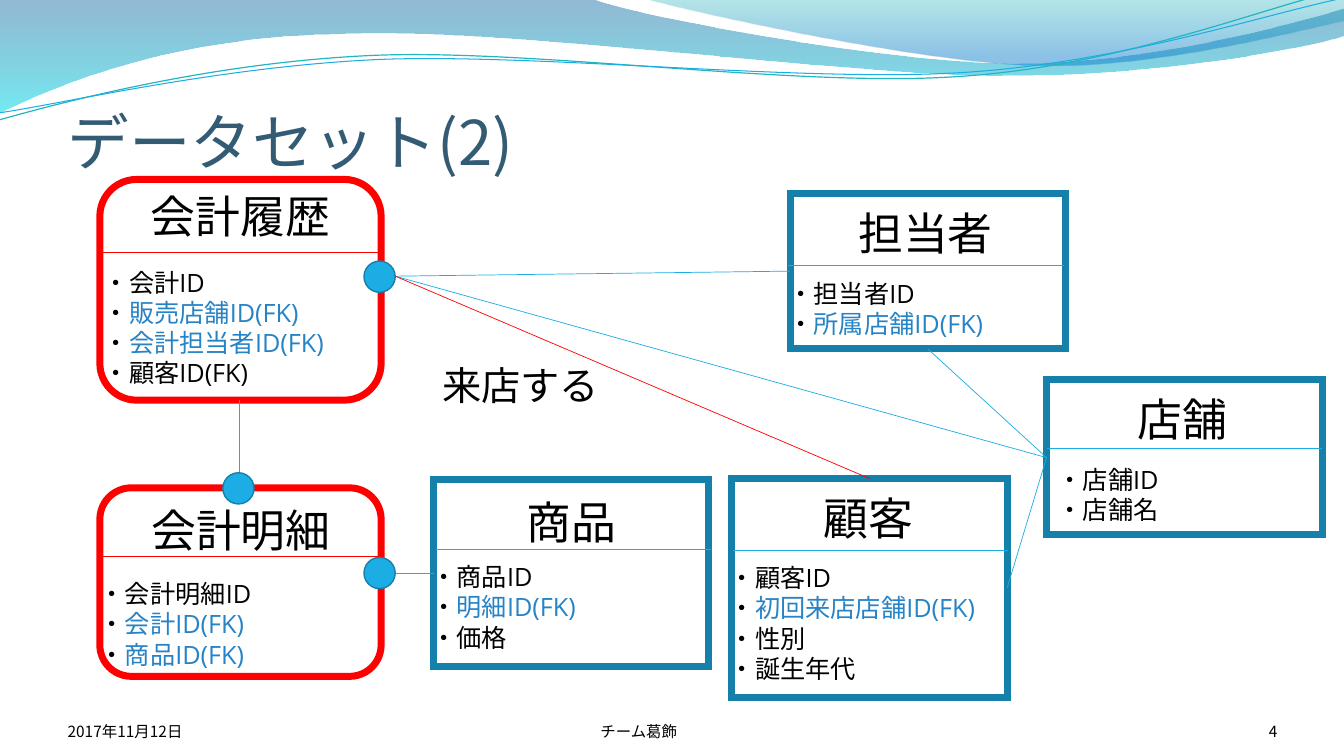
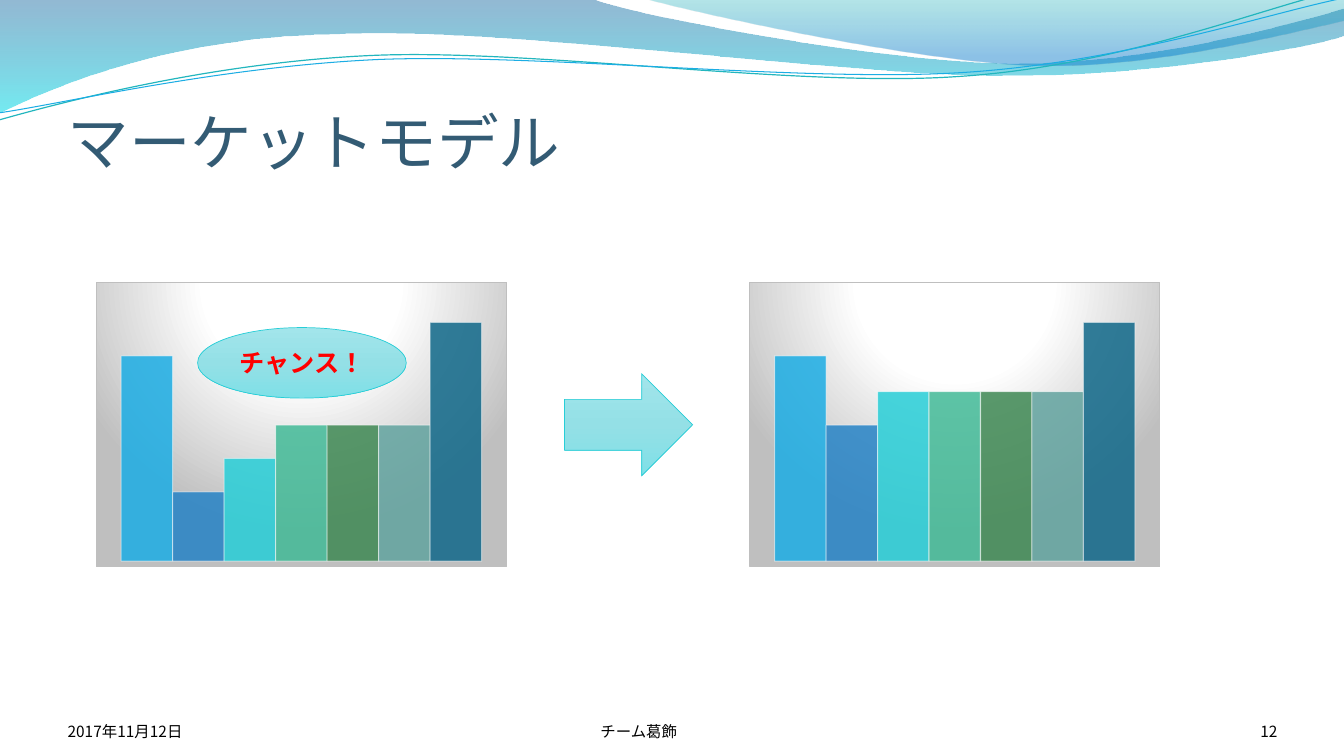
from lxml import etree
from pptx import Presentation
from pptx.chart.data import CategoryChartData
from pptx.dml.color import RGBColor
from pptx.enum.chart import XL_CHART_TYPE
from pptx.enum.shapes import MSO_CONNECTOR, MSO_SHAPE
from pptx.enum.text import MSO_ANCHOR, PP_ALIGN
from pptx.oxml import parse_xml
from pptx.oxml.ns import nsdecls, qn
from pptx.util import Inches, Pt

LEFT, MID, RIGHT = PP_ALIGN.LEFT, PP_ALIGN.CENTER, PP_ALIGN.RIGHT
LOW, CORE = MSO_ANCHOR.BOTTOM, MSO_ANCHOR.MIDDLE
RECT, ROUND = MSO_SHAPE.RECTANGLE, MSO_SHAPE.ROUNDED_RECTANGLE
OVAL, ARROW = MSO_SHAPE.OVAL, MSO_SHAPE.RIGHT_ARROW
LINE, BARS = MSO_CONNECTOR.STRAIGHT, XL_CHART_TYPE.COLUMN_CLUSTERED
BODY, CJK = "Open Sans", "Noto Sans CJK JP"
HUE = {
    "ink": "000000", "title": "335B74", "red": "FF0000", "key": "2683C6",
    "frame": "1580A9", "sky": "1CADE4", "teal": "22B6BE", "aqua": "27CED7",
    "white": "FFFFFF", "grey": "BFBFBF",
}
TINTS = [HUE["sky"], HUE["key"], HUE["aqua"], "42BA97", "3E8853", "62A39F", "106889"]
GLOW = [(0, "A2E5EB", 100), (50, "94E0E6", 100), (100, "7FE0E7", 100)]
DOWN = '<a:lin ang="5400000" scaled="0"/>'
HALO = '<a:path path="circle"><a:fillToRect l="50000" t="-80000" r="50000" b="180000"/></a:path>'
STOP = '<a:gs pos="{}000"><a:srgbClr val="{}"><a:alpha val="{}000"/></a:srgbClr></a:gs>'
GRAD = "<a:gradFill %s><a:gsLst>{}</a:gsLst>{}</a:gradFill>" % nsdecls("a")

deck = Presentation()
deck.slide_width, deck.slide_height = Inches(13.33), Inches(7.5)
U = deck.slide_height / 75
base = deck.slide_layouts[5]


def paint(item, line=None, width=0, fill=None, stops=None):
    if hasattr(item, "fill"):
        item.fill.background()
        if fill:
            item.fill.solid()
            item.fill.fore_color.rgb = RGBColor.from_string(fill)
        if stops:
            old = item.element.spPr.find(qn("a:noFill"))
            inner = "".join(STOP.format(*stop) for stop in stops)
            old.getparent().replace(old, parse_xml(GRAD.format(inner, DOWN)))
    item.line.fill.background()
    if line:
        item.line.color.rgb = RGBColor.from_string(line)
        item.line.width = Pt(width)
        edge = item.element.spPr.find(qn("a:ln"))
        etree.SubElement(edge, qn("a:miter")).set("lim", "800000")
    etree.SubElement(item.element.spPr, qn("a:effectLst"))


def write(item, lines, size, align=LEFT, lead=None, look=None, **style):
    frame = item.text_frame
    for name, value in {"word_wrap": True, **(look or {})}.items():
        setattr(frame, name, value)
    for num, parts in enumerate(lines):
        para = frame.add_paragraph() if num else frame.paragraphs[0]
        para.alignment = align
        para.line_spacing = lead or Pt(size * 1.2)
        for text, hue in parts:
            run = para.add_run()
            run.text = text
            for name, value in {"name": BODY, "size": Pt(size), **style}.items():
                setattr(run.font, name, value)
            run.font.color.rgb = RGBColor.from_string(HUE[hue])
    for run in item.element.iter(qn("a:r")):
        props = run.find(qn("a:rPr"))
        props.set("lang", "ja-JP")
        etree.SubElement(props, qn("a:ea")).set("typeface", CJK)
        if run.find(qn("a:t")).text == "・":
            props.set("spc", "-570")


FLUSH = {"margin_left": 0, "margin_right": 0, "margin_bottom": 0, "vertical_anchor": LOW}
FOOT = {**FLUSH, "margin_top": 0}
pages = []
for title, page in (("データセット(2)", "4"), ("マーケットモデル", "12")):
    slide = deck.slides.add_slide(base)
    pages.append(slide)
    head = slide.shapes.title
    for name, value in zip(("left", "top", "width", "height"), (6.7, 5.1, 120, 12.5)):
        setattr(head, name, int(value * U))
    write(head, [[(title, "title")]], 44, LEFT, 0.8, FLUSH, name=CJK)
    for left, wide, text, align in (
        (6.7, 31.1, "2017年11月12日", LEFT),
        (38.9, 48.9, "チーム葛飾", MID),
        (115.6, 11.1, page, RIGHT),
    ):
        foot = slide.shapes.add_textbox(*(int(v * U) for v in (left, 69.5, wide, 4)))
        write(foot, [[(text, "ink")]], 11, align, 1.0, FOOT, name=CJK)
data, market = pages

WAVES = [
    ([(0, 0), (58.7, -0.1), (63.4, 1.7, 88.4, 6.3, 101.1, 6.3),
      (113.7, 6.3, 127.7, 2.6, 133.3, 0.9), (133.4, 3.6),
      (131.1, 4.4, 115.9, 7.6, 99.4, 7.5), (82.9, 7.5, 50.9, 2.8, 34.3, 3.4),
      (17.2, 3.6, 6.1, 8.3, -0.2, 11.3)],
     {"stops": [(0, "10639E", 45), (100, "00DBE7", 55)]}),
    ([(63.8, -0.1), (67.9, 1.1, 90.9, 6.2, 102.5, 6.5),
      (114, 6.9, 128.2, 3.2, 133.3, 2.1), (133.3, 0)],
     {"stops": [(0, "09AAB3", 30), (80, "0578CB", 45)]}),
    ([(-0.1, 11.9), (6.3, 10.1, 21, 6.2, 36.9, 5.5),
      (52.7, 4.8, 78.9, 8.7, 94.9, 7.6), (111, 6.6, 125.1, 0.8, 133, -1)],
     {"line": HUE["teal"], "width": 0.85}),
    ([(-0.1, 11.2), (6.2, 10.3, 21.8, 6.6, 37.7, 5.9),
      (53.7, 5.3, 79.6, 8.2, 95.5, 7.2), (111.4, 6.2, 125.5, 1.4, 133.3, -0.2)],
     {"line": HUE["sky"], "width": 0.75}),
]
for spot, (curve, style) in enumerate(WAVES):
    flat = [int(v * U) for part in curve for v in part]
    dots = list(zip(flat[::2], flat[1::2]))
    form = data.shapes.build_freeform(*dots[0])
    form.add_line_segments(dots[1:], close="stops" in style)
    wave = form.convert_to_shape()
    legs = iter(list(wave.element.iter(qn("a:lnTo"))))
    for part in curve[1:]:
        leg = next(legs)
        if len(part) == 6:
            bend = etree.Element(qn("a:cubicBezTo"))
            leg.addprevious(bend)
            for piece in (leg, next(legs), next(legs)):
                bend.append(piece[0])
                piece.getparent().remove(piece)
    paint(wave, **style)
    base.shapes.element.insert(2 + spot, wave.element)

CARDS = [
    ("会計履歴", ROUND, (9.9, 17.8, 27.9, 21.9), (10.2, 18.2, 27.3), (10.2, 25), (10.2, 26, 27.3),
     ["会計ID", "販売店舗ID(FK)*", "会計担当者ID(FK)*", "顧客ID(FK)"]),
    ("会計明細", ROUND, (9.9, 48.4, 27.9, 18.7), (10.2, 49.4, 27.4), (10.2, 55.2), (9.8, 56.9, 20),
     ["会計明細ID", "会計ID(FK)*", "商品ID(FK)*"]),
    ("商品", RECT, (43, 47.6, 27.3, 18.5), (43.1, 48.6, 27.1), (43.2, 54.5), (42.7, 55.2, 20),
     ["商品ID", "明細ID(FK)*", "価格"]),
    ("顧客", RECT, (72.6, 47.5, 27.3, 21.7), (72.6, 48.2, 27.1), (72.7, 54.6), (72.3, 55.3, 27.4),
     ["顧客ID", "初回来店店舗ID(FK)*", "性別", "誕生年代"]),
    ("担当者", RECT, (78.4, 19.2, 27.3, 15.4), (78.1, 19.9, 27.4), (78.2, 26.3), (78.1, 27.1, 27.9),
     ["担当者ID", "所属店舗ID(FK)*"]),
    ("店舗", RECT, (103.8, 37.7, 27.4, 15.3), (104.7, 38.4, 25.2), (103.8, 44.5), (104.8, 45.6, 25),
     ["店舗ID", "店舗名"]),
]
links = [
    (23.7, 39.7, 23.7, 46.9, "sky"), (103.8, 45.4, 39.2, 27.4, "sky"),
    (78.4, 26.9, 39.2, 27.4, "sky"), (43, 56.9, 39.2, 56.9, "sky"),
    (99.9, 58.3, 103.8, 45.4, "sky"), (92, 34.6, 103.8, 45.4, "sky"),
    (86.3, 47.5, 39.2, 27.4, "red"),
]
for name, kind, area, top, rule, low, fields in CARDS:
    box = data.shapes.add_shape(kind, *(int(v * U) for v in area))
    paint(box, HUE["red" if kind == ROUND else "frame"], 5)
    label = data.shapes.add_textbox(*(int(v * U) for v in (*top, 6.4)))
    write(label, [[(name, "ink")]], 32, MID)
    rows = [[("・", "ink"), (f.rstrip("*"), "key" if f.endswith("*") else "ink")] for f in fields]
    items = data.shapes.add_textbox(*(int(v * U) for v in (*low, 1 + 3.02 * len(rows))))
    write(items, rows, 18, look={"margin_left": Inches(0.01)})
    links.append((*rule, rule[0] + 27.3, rule[1], "red" if kind == ROUND else "sky"))
for *ends, hue in links:
    link = data.shapes.add_connector(LINE, *(int(v * U) for v in ends))
    paint(link, HUE[hue], 0.5)
for spot in ((36.1, 25.9), (36.1, 55.3), (22.1, 46.9)):
    dot = data.shapes.add_shape(OVAL, *(int(v * U) for v in (*spot, 3.1, 3.1)))
    paint(dot, HUE["frame"], 1, HUE["sky"])
visit = data.shapes.add_textbox(*(int(v * U) for v in (42.9, 35.4, 22.9, 5.7)))
write(visit, [[("来店する", "ink")]], 28)

LAYOUT = (
    '<c:layout %s><c:manualLayout><c:layoutTarget val="inner"/><c:xMode val="edge"/>'
    '<c:yMode val="edge"/><c:x val="0.02"/><c:y val="0.14"/><c:w val="0.96"/>'
    '<c:h val="0.84"/></c:manualLayout></c:layout>' % nsdecls("c")
)
BACK = (
    '<c:spPr %s>{}<a:ln w="9525"><a:solidFill><a:srgbClr val="{}"/></a:solidFill></a:ln></c:spPr>'
    % nsdecls("c", "a")
)
SHADE = [(0, HUE["white"], 100), (39, HUE["white"], 100), (100, HUE["grey"], 100)]
for left, values in (
    (9.5, (86, 29, 43, 57, 57, 57, 100)),
    (74.3, (86, 57, 71, 71, 71, 71, 100)),
):
    table = CategoryChartData()
    table.categories = ["1"]
    for num, value in enumerate(values, 1):
        table.add_series(f"Series {num}", [value])
    area = (int(v * U) for v in (left, 28, 40.8, 28.3))
    chart = market.shapes.add_chart(BARS, *area, table).chart
    chart.has_legend = chart.has_title = False
    chart.font.name, chart.font.size = BODY, Pt(10)
    chart.font.color.rgb = RGBColor.from_string(HUE["ink"])
    for axis in (chart.category_axis, chart.value_axis):
        axis.has_major_gridlines = axis.visible = False
    chart.value_axis.minimum_scale, chart.value_axis.maximum_scale = 0, 100
    plot = chart.plots[0]
    plot.gap_width, plot.overlap, plot.vary_by_categories = 65, 0, False
    for bar, tint in zip(plot.series, TINTS):
        bar.format.fill.solid()
        bar.format.fill.fore_color.rgb = RGBColor.from_string(tint)
        bar.format.line.color.rgb = RGBColor.from_string(HUE["white"])
        bar.format.line.width = Pt(0.75)
    for bar in chart.element.iter(qn("c:ser")):
        for tone, alpha in zip(bar.iter(qn("a:srgbClr")), (85, 50)):
            etree.SubElement(tone, qn("a:alpha")).set("val", f"{alpha}000")
    zone = next(chart.element.iter(qn("c:plotArea")))
    for old in zone.findall(qn("c:layout")):
        zone.remove(old)
    zone.insert(0, parse_xml(LAYOUT))
    inner = "".join(STOP.format(*stop) for stop in SHADE)
    back = parse_xml(BACK.format(GRAD.format(inner, HALO), HUE["grey"]))
    chart.element.find(qn("c:chart")).addnext(back)

arrow = market.shapes.add_shape(ARROW, *(int(v * U) for v in (56, 37.1, 12.7, 10.1)))
chance = market.shapes.add_shape(OVAL, *(int(v * U) for v in (19.6, 32.5, 20.7, 7)))
for item in (arrow, chance):
    paint(item, HUE["aqua"], 0.5, stops=GLOW)
write(chance, [[("チャンス！", "red")]], 18, MID, look={"vertical_anchor": CORE}, bold=True)

deck.save("out.pptx")
